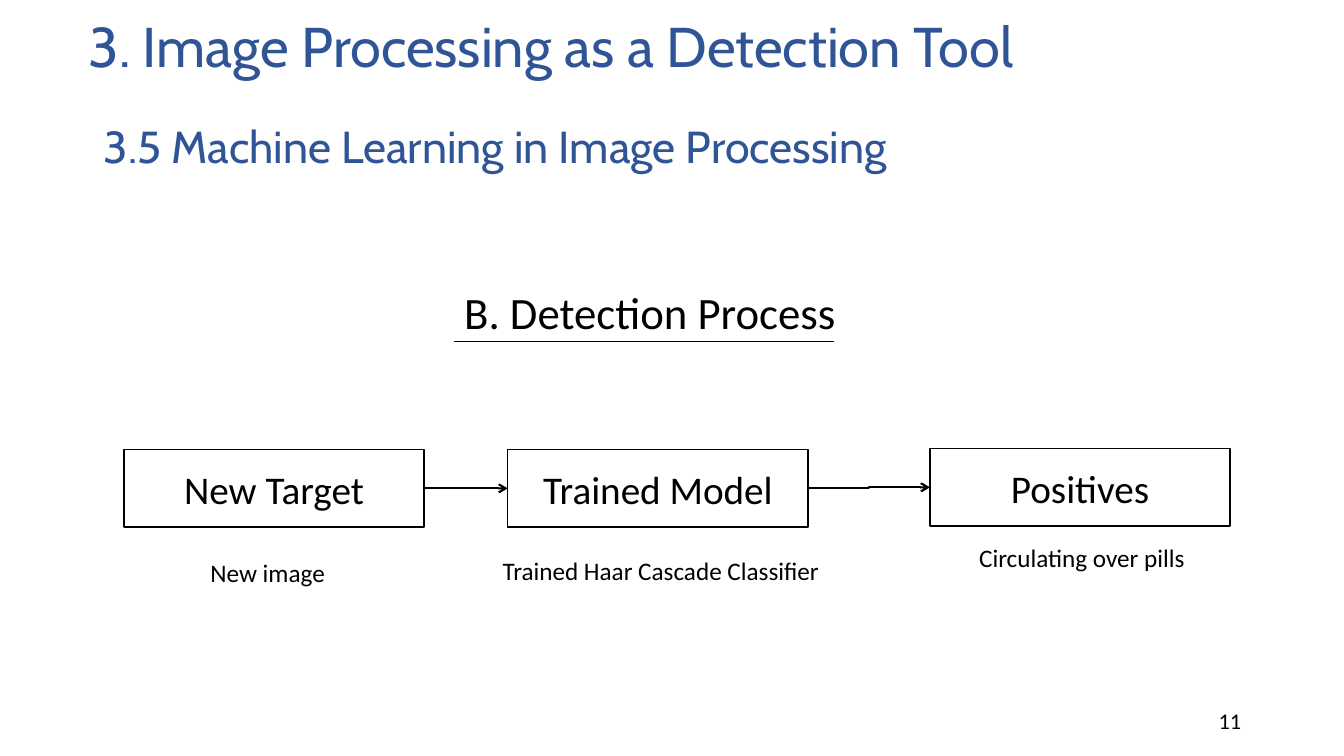
from lxml import etree
from pptx import Presentation
from pptx import util as u
from pptx.dml.color import RGBColor
from pptx.enum import shapes, text
from pptx.oxml.ns import qn

PX = 9144  # EMU per px, 100 px to the inch
THEME = {
    "blue": RGBColor(0x2F, 0x55, 0x97),
    "black": RGBColor(0, 0, 0),
    "white": RGBColor(255, 255, 255),
    "head_font": "Cabin", "body_font": "Calibri",
    "heading": 40, "title": 32, "step": 28, "caption": 18, "number": 16,
}


def write(box, words, size, font="body_font", color="black",
          align=text.PP_ALIGN.LEFT, anchor=text.MSO_ANCHOR.MIDDLE, wrap=True):
    frame = box.text_frame
    frame.auto_size = text.MSO_AUTO_SIZE.NONE
    frame.word_wrap = wrap
    frame.vertical_anchor = anchor
    para = frame.paragraphs[0]
    para.text = words
    para.alignment = align
    para.font.size = u.Pt(THEME[size])
    para.font.name = THEME[font]
    para.font.color.rgb = THEME[color]
    return para


def add_line(kind, x1, y1, x2, y2, width):
    line = page.shapes.add_connector(kind, x1 * PX, y1 * PX, x2 * PX, y2 * PX)
    line.line.color.rgb = THEME["black"]
    line.line.width = u.Pt(width)
    etree.SubElement(line._element.spPr, qn("a:effectLst"))
    return line


deck = Presentation()
deck.slide_width, deck.slide_height = 1334 * PX, 750 * PX
page = deck.slides.add_slide(deck.slide_layouts[5])

# Section heading and slide title
heading = page.shapes.add_textbox(78 * PX, 9 * PX, 1150 * PX, 80 * PX)
write(heading, "3. Image Processing as a Detection Tool", "heading",
      "head_font", "blue").line_spacing = 0.9
title = page.shapes.title
title.left, title.top, title.width, title.height = 93 * PX, 110 * PX, 1136 * PX, 75 * PX
write(title, "3.5 Machine Learning in Image Processing", "title",
      "head_font", "blue").line_spacing = 0.9

# Underlined diagram heading
process = page.shapes.add_textbox(451 * PX, 278 * PX, 390 * PX, 64 * PX)
write(process, "B. Detection Process", "title", anchor=text.MSO_ANCHOR.TOP, wrap=False)
add_line(shapes.MSO_CONNECTOR.STRAIGHT, 451, 339, 828, 339, 0.5)

# Steps with captions: name, left, top, caption, its left, top and width
steps = [
    ("New Target", 123, 446, "New image", 199, 548, 134),
    ("Trained Model", 504, 446, "Trained Haar Cascade Classifier", 489, 546, 336),
    ("Positives", 923, 445, "Circulating over pills", 962, 533, 225),
]
boxes = []
for name, left, top, caption, caption_left, caption_top, caption_width in steps:
    box = page.shapes.add_shape(shapes.MSO_SHAPE.RECTANGLE,
                                left * PX, top * PX, 298 * PX, 77 * PX)
    box.shadow.inherit = False
    box.fill.solid()
    box.fill.fore_color.rgb = THEME["white"]
    box.line.color.rgb = THEME["black"]
    box.line.width = u.Pt(1)
    write(box, name, "step", align=text.PP_ALIGN.CENTER)
    boxes.append(box)
    label = page.shapes.add_textbox(caption_left * PX, caption_top * PX,
                                    caption_width * PX, 40 * PX)
    write(label, caption, "caption", anchor=text.MSO_ANCHOR.TOP, wrap=False)

# Arrows from the right side of each step to the left side of the next
for source, target in zip(boxes, boxes[1:]):
    arrow = add_line(shapes.MSO_CONNECTOR.ELBOW, 0, 0, 0, 0, 1.5)
    arrow.begin_connect(source, 3)
    arrow.end_connect(target, 1)
    etree.SubElement(arrow.line._get_or_add_ln(), qn("a:tailEnd"), type="arrow")

# Page number
number = page.shapes.add_textbox(942 * PX, 695 * PX, 300 * PX, 40 * PX)
write(number, "11", "number", align=text.PP_ALIGN.RIGHT)

deck.save("out.pptx")
